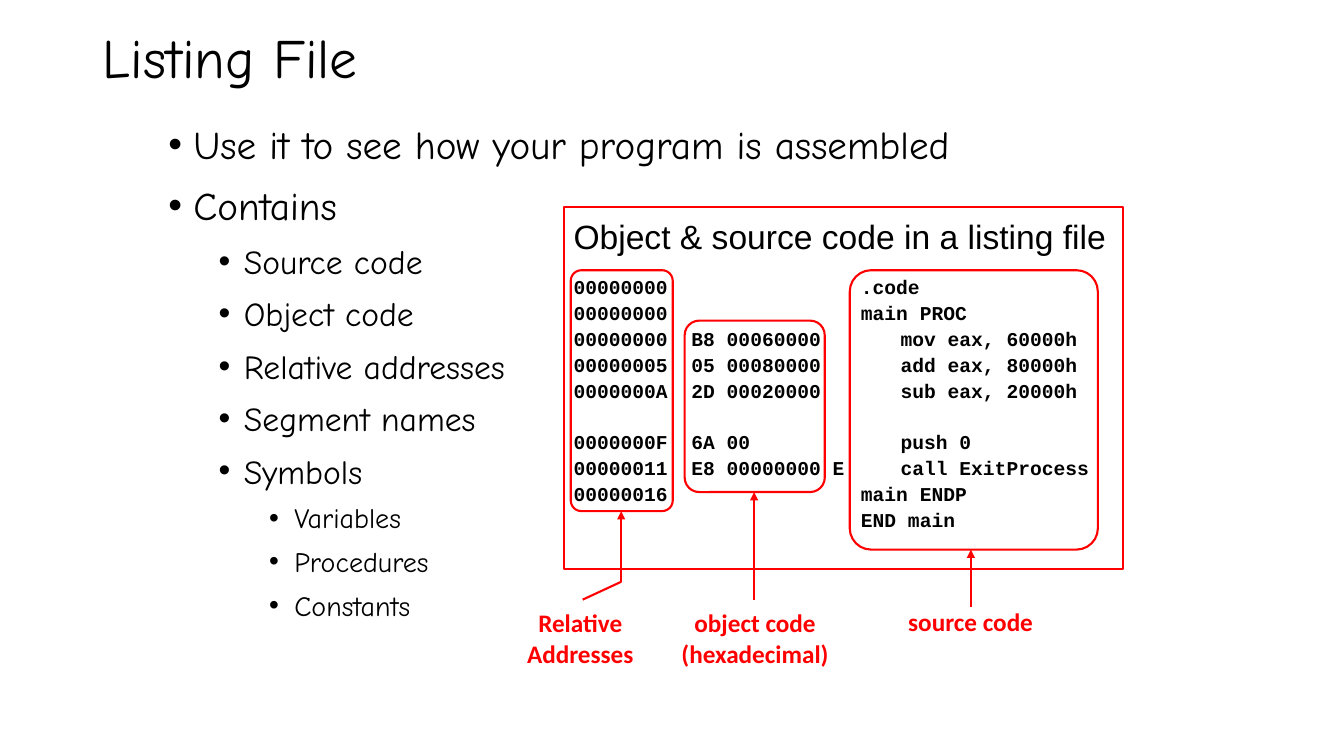
from dataclasses import dataclass

from lxml.etree import SubElement
from pptx import Presentation
from pptx.dml.color import RGBColor
from pptx.enum.shapes import MSO_CONNECTOR, MSO_SHAPE
from pptx.enum.text import MSO_ANCHOR, PP_ALIGN
from pptx.oxml.ns import qn
from pptx.util import Cm, Pt


@dataclass(frozen=True)
class Theme:
    text: RGBColor = RGBColor(0, 0, 0)
    accent: RGBColor = RGBColor(0xFF, 0, 0)
    hand: str = "Comic Neue"
    sans: str = "Arial"
    mono: str = "Courier New"
    label: str = "Calibri"
    title_size: float = 39.6
    level_sizes: tuple[int, ...] = (28, 24, 20)
    heading_size: int = 24
    code_size: int = 14
    label_size: int = 18
    line: float = 1.5


@dataclass(frozen=True)
class Box:
    left: float
    top: float
    width: float
    height: float

    @property
    def bottom(self) -> float:
        return self.top + self.height

    def lengths(self) -> tuple:
        return Cm(self.left), Cm(self.top), Cm(self.width), Cm(self.height)


@dataclass(frozen=True)
class Callout:
    frame: Box
    radius: float
    arrow_x: float
    arrow_start: float
    label_box: Box
    lines: tuple[str, ...]


@dataclass(frozen=True)
class CodeLine:
    address: str
    machine: str
    source: str
    indented: bool = False
    gap_before: bool = False


THEME = Theme()

BULLETS = [
    (0, "Use it to see how your program is assembled"),
    (0, "Contains"),
    (1, "Source code"),
    (1, "Object code"),
    (1, "Relative addresses"),
    (1, "Segment names"),
    (1, "Symbols"),
    (2, "Variables"),
    (2, "Procedures"),
    (2, "Constants"),
]

LISTING = [
    CodeLine("00000000", "", ".code"),
    CodeLine("00000000", "", "main PROC"),
    CodeLine("00000000", "B8 00060000", "mov eax, 60000h", True),
    CodeLine("00000005", "05 00080000", "add eax, 80000h", True),
    CodeLine("0000000A", "2D 00020000", "sub eax, 20000h", True),
    CodeLine("0000000F", "6A 00", "push 0", True, gap_before=True),
    CodeLine("00000011", "E8 00000000 E", "call ExitProcess", True),
    CodeLine("00000016", "", "main ENDP"),
    CodeLine("", "", "END main"),
]
CODE_TABS = (2.97, 7.24, 8.24)  # object code, source code, indented source
CODE_SPACING = 1.1
CODE_PITCH = 18.4

LABEL_TOP = 15.11
CALLOUTS = [
    Callout(Box(17.25, 8.08, 3.53, 4.32), 0.104, 19, LABEL_TOP,
            Box(16.46, LABEL_TOP, 5.13, 1.93), ("object code", "(hexadecimal)")),
    Callout(Box(21.41, 6.81, 6.25, 7.04), 0.086, 24.46, 15.29,
            Box(21.89, LABEL_TOP, 5.13, 1.12), ("source code",)),
    Callout(Box(14.38, 6.81, 2.57, 6.07), 0.104, 15.65, 14.66,
            Box(12.78, LABEL_TOP, 3.68, 1.93), ("Relative", "Addresses")),
]


def add_run(p, text: str, font: str, size: float, color: RGBColor, bold: bool = False) -> None:
    r = p.add_run()
    r.text = text
    r.font.name, r.font.size, r.font.bold = font, Pt(size), bold
    r.font.color.rgb = color


def next_paragraph(tf, index: int):
    return tf.add_paragraph() if index else tf.paragraphs[0]


def add_text_box(box: Box, anchor=MSO_ANCHOR.TOP):
    tf = s.shapes.add_textbox(*box.lengths()).text_frame
    tf.word_wrap = True
    tf.vertical_anchor = anchor
    return tf


def add_outline(kind, box: Box):
    sp = s.shapes.add_shape(kind, *box.lengths())
    sp.shadow.inherit = False
    sp.fill.background()
    sp.line.color.rgb = THEME.accent
    sp.line.width = Pt(THEME.line)
    return sp


def add_line(x1: float, y1: float, x2: float, y2: float, arrow: bool = False) -> None:
    line = s.shapes.add_connector(MSO_CONNECTOR.STRAIGHT, Cm(x1), Cm(y1), Cm(x2), Cm(y2))
    line.line.color.rgb = THEME.accent
    line.line.width = Pt(THEME.line)
    if arrow:
        SubElement(line.line._get_or_add_ln(), qn("a:tailEnd"), type="triangle")
    SubElement(line._element.spPr, qn("a:effectLst"))


def add_bullet(p, level: int) -> None:
    pPr = p._p.get_or_add_pPr()
    pPr.set("marL", str(Cm(0.635 + 1.27 * level)))
    pPr.set("indent", str(-Cm(0.635)))
    SubElement(pPr, qn("a:buFont"), typeface=THEME.sans)
    SubElement(pPr, qn("a:buChar"), char="•")


def add_callout(c: Callout) -> None:
    add_outline(MSO_SHAPE.ROUNDED_RECTANGLE, c.frame).adjustments[0] = c.radius
    add_line(c.arrow_x, c.arrow_start, c.arrow_x, c.frame.bottom, arrow=True)
    tf = add_text_box(c.label_box, MSO_ANCHOR.MIDDLE)
    tf.margin_left = tf.margin_right = 0
    for i, text in enumerate(c.lines):
        p = next_paragraph(tf, i)
        p.alignment = PP_ALIGN.CENTER
        add_run(p, text, THEME.label, THEME.label_size, THEME.accent, bold=True)


prs = Presentation()
prs.slide_width, prs.slide_height = Cm(33.86), Cm(19.05)
s = prs.slides.add_slide(prs.slide_layouts[6])

# Title
tf = add_text_box(Box(2.34, 1.02, 29.21, 0.99), MSO_ANCHOR.MIDDLE)
tf.paragraphs[0].line_spacing = 0.9
add_run(tf.paragraphs[0], "Listing File", THEME.hand, THEME.title_size, THEME.text)

# Bullet list
tf = add_text_box(Box(4.24, 3.14, 24.05, 14.25))
tf.margin_left = 0
for i, (level, text) in enumerate(BULLETS):
    size = THEME.level_sizes[level]
    p = next_paragraph(tf, i)
    p.level = level
    p.line_spacing = 0.8
    p.space_before = Pt(0.6 * size if i else 0)
    add_bullet(p, level)
    add_run(p, text, THEME.hand, size, THEME.text)

# Listing panel
tf = add_outline(MSO_SHAPE.RECTANGLE, Box(14.2, 5.21, 14.1, 9.12)).text_frame
tf.word_wrap = True
tf.vertical_anchor = MSO_ANCHOR.TOP
p = tf.paragraphs[0]
p.alignment = PP_ALIGN.LEFT
p.line_spacing = CODE_SPACING
p.space_after = Pt(12)
add_run(p, "Object & source code in a listing file", THEME.sans, THEME.heading_size, THEME.text)
for row in LISTING:
    p = tf.add_paragraph()
    p.alignment = PP_ALIGN.LEFT
    p.line_spacing = CODE_SPACING
    p.space_before = Pt(CODE_PITCH if row.gap_before else 0)
    tabs = SubElement(p._p.get_or_add_pPr(), qn("a:tabLst"))
    for stop in CODE_TABS:
        SubElement(tabs, qn("a:tab"), pos=str(Cm(stop)), algn="l")
    indent = "\t" if row.indented else ""
    add_run(p, f"{row.address}\t{row.machine}\t{indent}{row.source}",
            THEME.mono, THEME.code_size, THEME.text, bold=True)

# Callouts, with the slanted end of the address arrow
for callout in CALLOUTS:
    add_callout(callout)
address = CALLOUTS[-1]
add_line(address.arrow_x, address.arrow_start, 14.68, LABEL_TOP)

prs.save("out.pptx")
